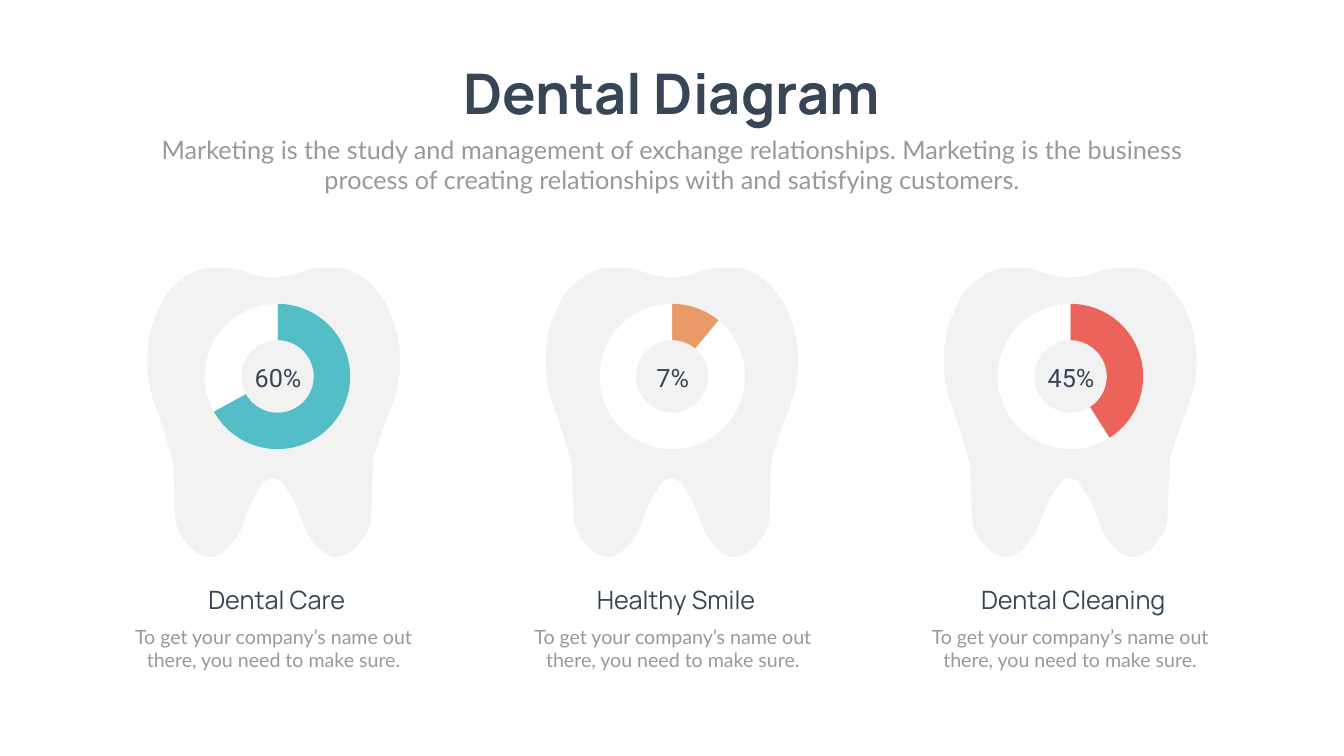
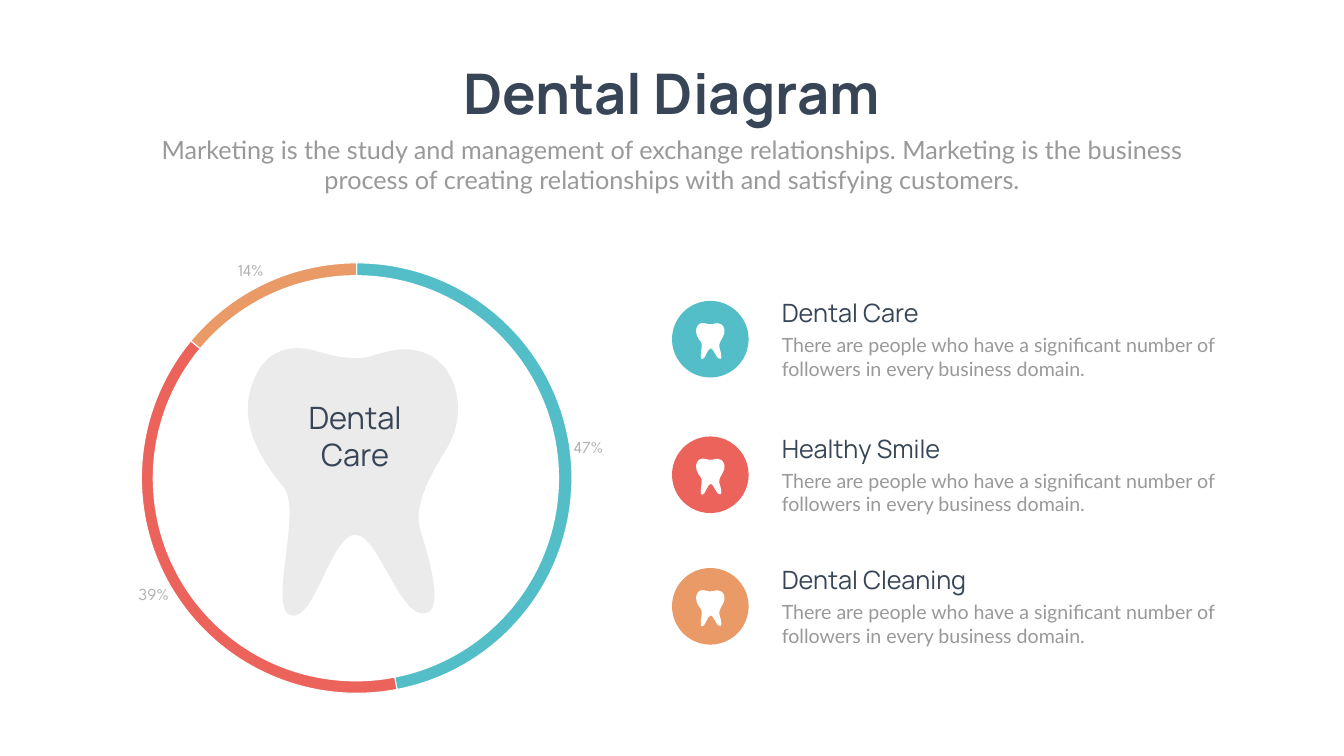
import math
import pptx
import pptx.chart.data
import pptx.dml.color
import pptx.enum.chart
import pptx.enum.shapes
import pptx.enum.text
import pptx.util
from lxml import etree

COLUMNS, ROWS = 26.66, 15
INK, GREY, LABEL, WHITE = "374556", "999999", "B2B2B2", "FFFFFF"
TEAL, CORAL, ORANGE = "53BEC7", "EB635B", "EA9A67"
PALE, MIST, PAPER = "F2F2F2", "EBEBEB", "FEFFFE"
HEADING, BODY = "Manrope", "Lato"
PITCH = 7.9
TILT = 328.6

MOLAR_BOX = (2.92, 5.31, 5.03, 5.77)
MOLAR = [
    (7.94, 7.17),
    (7.94, 6.74, 7.82, 6.32, 7.64, 6), (7.6, 5.94, 7.55, 5.87, 7.5, 5.8),
    (7.26, 5.48, 6.94, 5.31, 6.6, 5.31), (6.58, 5.31, 6.5, 5.31, 6.47, 5.31),
    (6.3, 5.31, 6.13, 5.34, 5.99, 5.39), (5.63, 5.54, 5.21, 5.54, 4.85, 5.39),
    (4.71, 5.34, 4.53, 5.31, 4.37, 5.31), (4.33, 5.31, 4.29, 5.31, 4.25, 5.31),
    (3.97, 5.31, 3.7, 5.43, 3.48, 5.65), (3.31, 5.78, 3.2, 5.98, 3.12, 6.2),
    (2.98, 6.48, 2.92, 6.81, 2.92, 7.17), (2.92, 7.49, 2.98, 7.79, 3.08, 8.05),
    (3.2, 8.39, 3.31, 8.72, 3.4, 9.06), (3.41, 9.1, 3.44, 9.16, 3.44, 9.2),
    (3.48, 10.26, 3.48, 10.26, 3.48, 10.26), (3.48, 10.34, 3.52, 10.58, 3.7, 10.77),
    (3.79, 10.89, 3.89, 10.97, 3.99, 11.01), (4.11, 11.07, 4.25, 11.07, 4.37, 10.99),
    (4.47, 10.91, 4.57, 10.84, 4.67, 10.69), (4.83, 10.48, 4.83, 10.31, 4.97, 10.02),
    (5.01, 9.9, 5.11, 9.74, 5.25, 9.56), (5.35, 9.46, 5.48, 9.46, 5.58, 9.56),
    (5.72, 9.74, 5.82, 9.9, 5.87, 10.02), (6.01, 10.31, 6.01, 10.48, 6.16, 10.69),
    (6.26, 10.84, 6.36, 10.91, 6.47, 10.99), (6.56, 11.07, 6.72, 11.07, 6.84, 11.01),
    (6.94, 10.97, 7.04, 10.89, 7.14, 10.77), (7.32, 10.58, 7.36, 10.34, 7.36, 10.26),
    (7.4, 9.2, 7.4, 9.2, 7.4, 9.2), (7.4, 9.16, 7.41, 9.13, 7.41, 9.08),
    (7.52, 8.72, 7.64, 8.39, 7.77, 8.05), (7.87, 7.79, 7.94, 7.49, 7.94, 7.17),
]
ROOTED_BOX = (4.5, 6.55, 5.08, 5.88)
ROOTED = [
    (5.14, 7.33),
    (5.4, 6.9, 5.86, 6.83, 6.33, 6.98), (6.64, 7.08, 7.1, 7.16, 7.38, 7.06),
    (7.88, 6.9, 8.27, 6.86, 8.64, 7.12), (9.02, 7.38, 9.32, 8.18, 8.83, 8.95),
    (8.35, 9.72, 8.22, 10.18, 8.35, 10.56), (8.47, 10.94, 8.8, 12, 8.49, 12.15),
    (7.96, 12.39, 7.52, 10.61, 7.05, 10.61), (6.57, 10.6, 6.24, 12.34, 5.77, 12.21),
    (5.31, 12.07, 6, 10.14, 5.63, 9.67), (5.25, 9.2, 4.56, 8.31, 5.14, 7.33),
]


def rgb(value):
    return pptx.dml.color.RGBColor.from_string(value)


class Deck:
    """Holds the deck's style and current slide, and draws on a grid of cells."""

    def __init__(self):
        self.show = pptx.Presentation()
        self.show.slide_width = pptx.util.Inches(26.66)
        self.show.slide_height = pptx.util.Inches(15)
        self.column = self.show.slide_width / COLUMNS
        self.row = self.show.slide_height / ROWS

    def cells(self, left, top, width, height):
        return (round(left * self.column), round(top * self.row),
                round(width * self.column), round(height * self.row))

    def page(self, title, intro):
        self.slide = self.show.slides.add_slide(self.show.slide_layouts[6])
        self.slide.background.fill.solid()
        self.slide.background.fill.fore_color.rgb = rgb(PAPER)
        self.text(title, (8.65, 1.12, 9.35, 1.45), 80, bold=True, wrap=False)
        self.text(intro, (2.92, 2.61, 20.82, 1.31), 36, BODY, GREY)

    def text(self, words, place, size, font=HEADING, colour=INK, centred=True,
             bold=False, wrap=True):
        frame = self.slide.shapes.add_textbox(*self.cells(*place)).text_frame
        frame.text = words
        frame.word_wrap = wrap
        frame.auto_size = pptx.enum.text.MSO_AUTO_SIZE.SHAPE_TO_FIT_TEXT
        align = pptx.enum.text.PP_ALIGN
        paragraph = frame.paragraphs[0]
        paragraph.alignment = align.CENTER if centred else align.LEFT
        style = paragraph.runs[0].font
        style.name, style.size, style.bold = font, pptx.util.Pt(size), bold
        style.color.rgb = rgb(colour)

    def paint(self, shape, colour):
        shape.shadow.inherit = False
        shape.fill.solid()
        shape.fill.fore_color.rgb = rgb(colour)
        shape.line.fill.background()

    def disc(self, left, top, size, colour):
        oval = pptx.enum.shapes.MSO_SHAPE.OVAL
        place = self.cells(left, top, size, size)
        self.paint(self.slide.shapes.add_shape(oval, *place), colour)

    def tooth(self, curves, box, corner, colour, scale=1, tilt=0):
        cos, sin = math.cos(math.radians(tilt)), math.sin(math.radians(tilt))
        left, top, width, height = box
        place = self.cells(*corner, width * scale, height * scale)

        def local(x, y):
            dx, dy = x - left - width / 2, y - top - height / 2
            return (round((width / 2 + dx * cos + dy * sin) * scale * self.column),
                    round((height / 2 - dx * sin + dy * cos) * scale * self.row))

        knots = [local(*curve[-2:]) for curve in curves]
        builder = self.slide.shapes.build_freeform(*knots[0])
        builder.add_line_segments(knots[1:], close=True)
        shape = builder.convert_to_shape()
        shape.left, shape.top, shape.width, shape.height = place
        shape.rotation = tilt
        outline = shape._element.xpath(".//a:path")[0]
        outline.set("w", str(place[2]))
        outline.set("h", str(place[3]))
        for segment in list(outline):
            outline.remove(segment)
        space = "{" + outline.nsmap["a"] + "}"
        for curve in curves:
            tag = "moveTo" if len(curve) == 2 else "cubicBezTo"
            segment = etree.SubElement(outline, space + tag)
            for x, y in zip(curve[::2], curve[1::2]):
                point = etree.SubElement(segment, space + "pt")
                for axis, value in zip("xy", local(x, y)):
                    point.set(axis, str(value))
        etree.SubElement(outline, space + "close")
        self.paint(shape, colour)

    def chart(self, kind, place, values, colours):
        data = pptx.chart.data.CategoryChartData()
        data.categories = [str(number + 1) for number in range(len(values))]
        data.add_series("Series 1", values)
        chart = self.slide.shapes.add_chart(kind, *self.cells(*place), data).chart
        chart.has_legend = chart.has_title = False
        chart.font.name, chart.font.size = "Calibri", pptx.util.Pt(10)
        chart.font.color.rgb = rgb(GREY)
        plot = chart.plots[0]
        plot.vary_by_categories = True
        plot.has_data_labels = False
        for number, colour in enumerate(colours):
            look = plot.series[0].points[number].format
            look.fill.solid()
            look.fill.fore_color.rgb = rgb(colour)
            look.line.fill.background()
        return plot

    def ring(self, place, share, colour):
        kind = pptx.enum.chart.XL_CHART_TYPE.DOUGHNUT
        plot = self.chart(kind, place, (share, 100 - share), (colour, WHITE))
        plot._element.xpath("c:holeSize")[0].set("val", "75")

    def pie(self, place, values, colours, area):
        plot = self.chart(pptx.enum.chart.XL_CHART_TYPE.PIE, place, values, colours)
        series = plot.series[0]
        series.format.fill.solid()
        series.format.fill.fore_color.rgb = rgb(colours[0])
        edges = [series.points[number].format.line for number in range(len(values))]
        for edge in [series.format.line] + edges:
            edge.color.rgb, edge.width = rgb(WHITE), pptx.util.Pt(1.5)
        labels = series.data_labels
        labels.show_value, labels.show_percentage = False, True
        labels.number_format, labels.number_format_is_linked = "#,##0%", False
        labels.position = pptx.enum.chart.XL_LABEL_POSITION.OUTSIDE_END
        labels.font.name, labels.font.size = "League Spartan", pptx.util.Pt(24)
        labels.font.color.rgb = rgb(LABEL)
        plot_area = plot._element.getparent()
        for old in plot_area.xpath("c:layout"):
            plot_area.remove(old)
        space = "{" + plot_area.nsmap["c"] + "}"
        layout = etree.Element(space + "layout")
        manual = etree.SubElement(layout, space + "manualLayout")
        settings = [("layoutTarget", "inner"), ("xMode", "edge"), ("yMode", "edge")]
        for tag, value in settings + list(zip("xywh", area)):
            etree.SubElement(manual, space + tag).set("val", str(value))
        plot_area.insert(0, layout)


def main():
    title = "Dental Diagram"
    intro = ("Marketing is the study and management of exchange relationships. "
             "Marketing is the business process of creating relationships with "
             "and satisfying customers.")
    topics = ("Dental Care", "Healthy Smile", "Dental Cleaning")
    deck = Deck()

    deck.page(title, intro)
    for number in range(len(topics)):
        corner = (MOLAR_BOX[0] + number * PITCH, MOLAR_BOX[1])
        deck.tooth(MOLAR, MOLAR_BOX, corner, PALE)
    rates = [("60%", 67, TEAL, 3.82), ("7%", 11, ORANGE, 11.65), ("45%", 41, CORAL, 19.55)]
    for percent, share, colour, left in rates:
        deck.ring((left, 5.89, 3.37, 3.16), share, colour)
        deck.text(percent, (left + 0.75, 7.14, 1.89, 0.71), 36, "Roboto")
    for topic, left, width in zip(topics, (2.42, 10.34, 18.22), (3.26, 5.17, 5.9)):
        deck.text("To get your company’s name out there, you need to make sure.",
                  (left, 12.34, 6.01, 1.04), 28, BODY, GREY)
        deck.text(topic, (left + 3.07 - width / 2, 11.55, width, 0.71), 36)

    deck.page(title, intro)
    colours = (TEAL, CORAL, ORANGE)
    tops = (5.97, 8.66, 11.27)
    deck.pie((1.6, 4.03, 19.08, 10.88), (47, 39, 14), colours,
             (0.063, 0.109, 0.448, 0.785))
    deck.disc(3.03, 5.46, 8.06, WHITE)
    for colour, top in zip(colours, tops):
        deck.disc(13.33, top, 1.52, colour)
    for topic, top in zip(topics, tops):
        deck.text("There are people who have a significant number of followers "
                  "in every business domain.",
                  (15.41, top + 0.59, 10.04, 1.04), 28, BODY, GREY, centred=False)
        deck.text(topic, (15.41, top - 0.12, 7.75, 0.71), 36, centred=False)
    for top in tops:
        deck.tooth(ROOTED, ROOTED_BOX, (13.75, top + 0.39), WHITE,
                   0.69 / ROOTED_BOX[2], TILT)
    deck.tooth(ROOTED, ROOTED_BOX, ROOTED_BOX[:2], MIST, tilt=TILT)
    deck.text("Dental Care", (5.61, 7.87, 2.87, 1.58), 44)

    deck.show.save("out.pptx")


if __name__ == "__main__":
    main()
